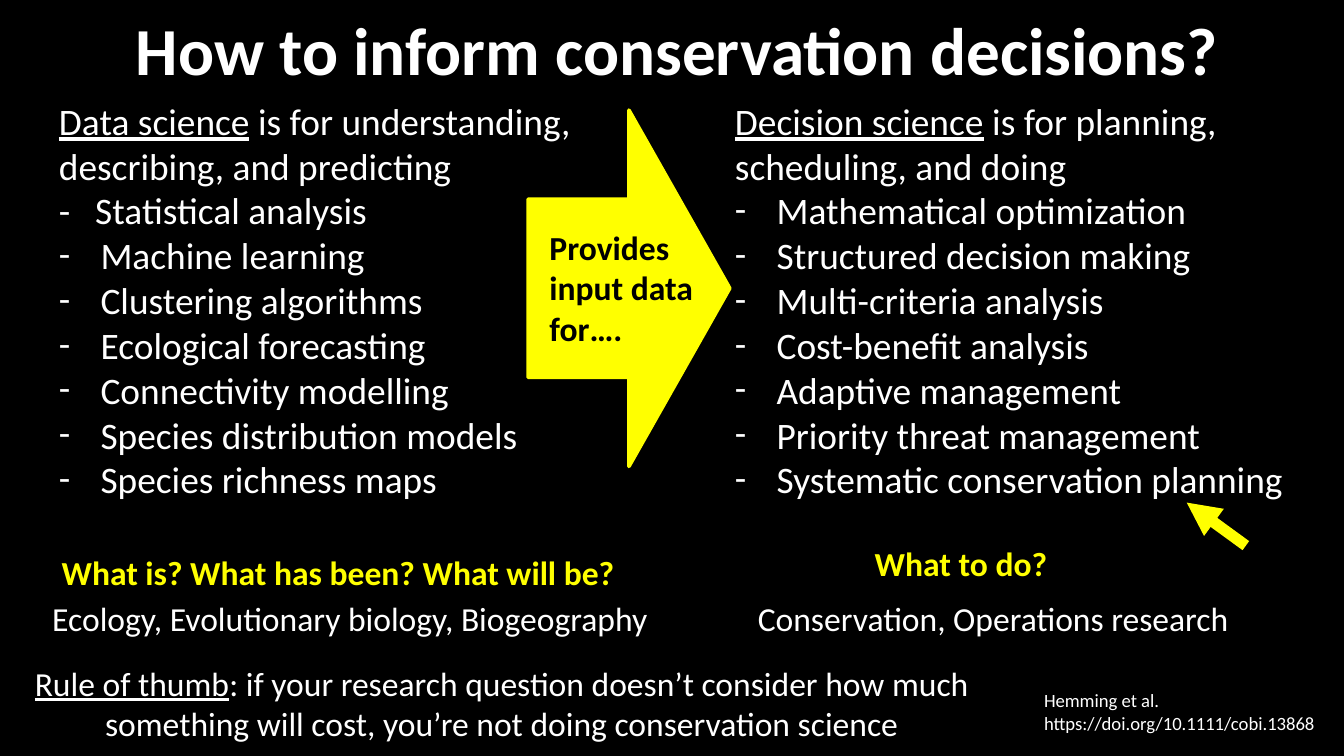
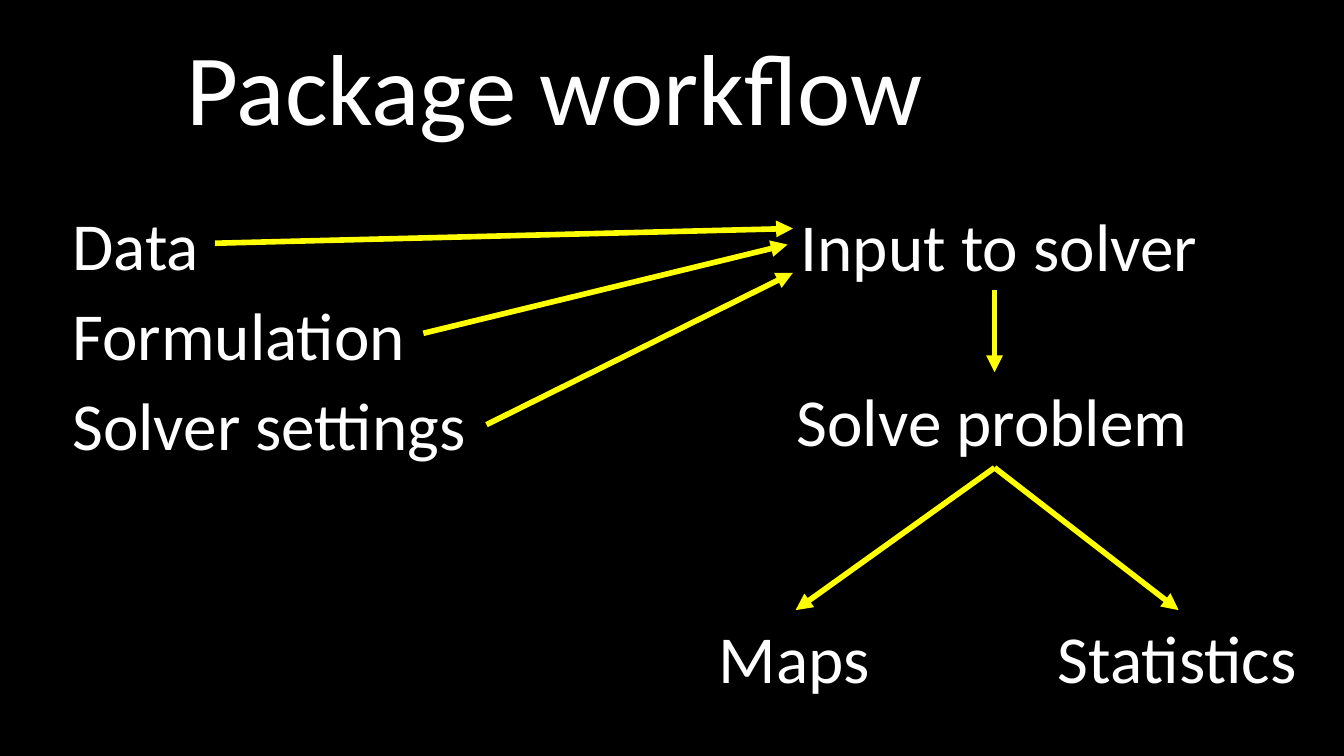
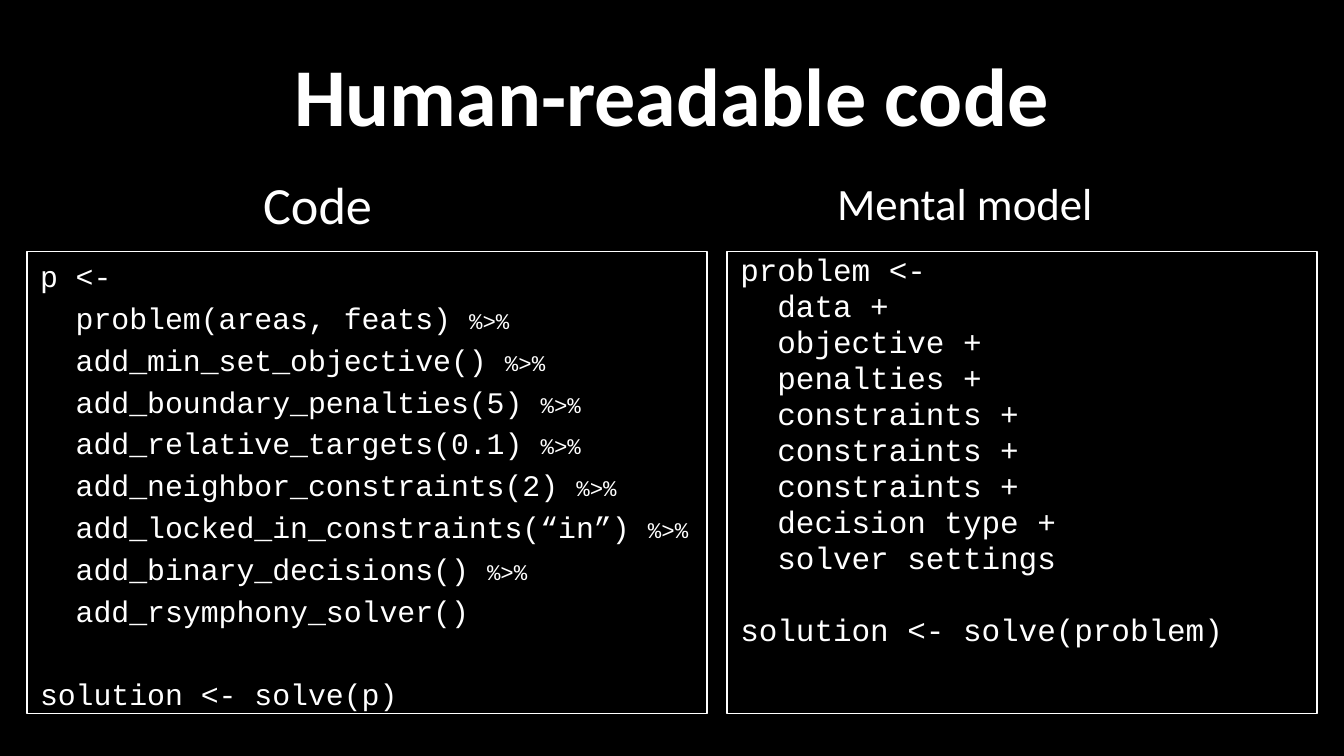
"""Build three slides on conservation decisions, package workflow and readable code."""

from dataclasses import dataclass

from lxml.etree import SubElement
from pptx import Presentation
from pptx.dml.color import RGBColor
from pptx.enum.shapes import MSO_CONNECTOR as Connector, MSO_SHAPE as Preset
from pptx.enum.text import MSO_ANCHOR as Anchor, MSO_AUTO_SIZE as AutoSize, PP_ALIGN as Align
from pptx.oxml.ns import qn
from pptx.util import Inches, Pt

BLACK = RGBColor(0x00, 0x00, 0x00)
WHITE = RGBColor(0xFF, 0xFF, 0xFF)
YELLOW = RGBColor(0xFF, 0xFF, 0x00)
BODY_FONT = "Calibri"
CODE_FONT = "Courier New"
PIPE = "%>%"
TITLE_ONLY = 5


@dataclass(frozen=True)
class Place:
    left: float
    top: float
    width: float
    height: float

    def lengths(self) -> tuple:
        return tuple(Inches(v) for v in (self.left, self.top, self.width, self.height))


@dataclass(frozen=True)
class Style:
    size: float
    color: RGBColor = WHITE
    bold: bool = False
    font: str = BODY_FONT


@dataclass(frozen=True)
class Label:
    place: Place
    lines: tuple
    style: Style
    lead: str = ""
    align: Align = Align.LEFT
    wrap: bool = True


@dataclass(frozen=True)
class Arrow:
    start: tuple
    end: tuple
    weight: float = 3


@dataclass(frozen=True)
class Listing:
    place: Place
    lines: tuple
    closing: str
    style: Style
    pitch: float
    spacing: float


BODY = Style(20)
NOTE = Style(18)
QUESTION = Style(18, YELLOW, True)
STEP = Style(36)
GAP_SHARE = 0.2

TYPED_DASH = "-\t"
DATA_METHODS = (TYPED_DASH + "Statistical analysis", "Machine learning",
                "Clustering algorithms", "Ecological forecasting",
                "Connectivity modelling", "Species distribution models",
                "Species richness maps")
DECISION_METHODS = ("Mathematical optimization", "Structured decision making",
                    "Multi-criteria analysis", "Cost-benefit analysis",
                    "Adaptive management", "Priority threat management",
                    "Systematic conservation planning")

DECISION_LABELS = (
    Label(Place(5.54, 4.4, 3.97, 0.4), ("Conservation, Operations research",), NOTE),
    Label(Place(0.16, 4.88, 7.15, 0.71),
          (": if your research question doesn’t consider how much something will cost, "
           "you’re not doing conservation science",), NOTE, "Rule of thumb", Align.CENTER),
    Label(Place(6.41, 3.99, 1.59, 0.4), ("What to do?",), QUESTION),
    Label(Place(7.67, 5.08, 2.33, 0.44),
          ("Hemming et al.", "https://doi.org/10.1111/cobi.13868"), Style(10)),
    Label(Place(0.29, 4.4, 4.65, 0.4), ("Ecology, Evolutionary biology, Biogeography",), NOTE),
    Label(Place(0.36, 4.06, 4.51, 0.4), ("What is? What has been? What will be?",), QUESTION),
)

INPUTS = (("Data", 1.15), ("Formulation", 2.7), ("Solver settings", 3.17))
STAGES = (("Input to solver", Place(5.86, 1.47, 3.18, 0.71)),
          ("Solve problem", Place(5.83, 2.77, 3.14, 0.71)),
          ("Maps", Place(5.25, 4.54, 1.34, 0.71)),
          ("Statistics", Place(7.77, 4.54, 2.01, 0.71)))
SOLVE_TOP = (7.4, 2.77)
SOLVE_BOTTOM = (7.4, 3.48)
FLOW = (
    Arrow((1.6, 1.81), (5.9, 1.7)),
    Arrow((3.15, 2.48), (5.86, 1.82)),
    Arrow((3.62, 3.16), (5.9, 2.03)),
    Arrow((7.4, 2.16), SOLVE_TOP),
    Arrow(SOLVE_BOTTOM, (5.92, 4.54)),
    Arrow(SOLVE_BOTTOM, (8.77, 4.54)),
)

LISTINGS = (
    Listing(Place(0.2, 1.87, 5.06, 3.44),
            ("p <-",
             "  problem(areas, feats) %>%",
             "  add_min_set_objective() %>%",
             "  add_boundary_penalties(5) %>%",
             "  add_relative_targets(0.1) %>%",
             "  add_neighbor_constraints(2) %>%",
             "  add_locked_in_constraints(“in”) %>%",
             "  add_binary_decisions() %>%",
             "  add_rsymphony_solver()"),
            "solution <- solve(p)", Style(16, font=CODE_FONT), 22.3, 1.0),
    Listing(Place(5.41, 1.87, 4.39, 3.44),
            ("problem <-",
             "  data +",
             "  objective +",
             "  penalties +",
             "  constraints +",
             "  constraints +",
             "  constraints +",
             "  decision type +",
             "  solver settings"),
            "solution <- solve(problem)", Style(16.6, font=CODE_FONT), 19.3, 0.8),
)


def add_span(para, text: str, style: Style, underline: bool = False, size: float = 0) -> None:
    span = para.add_run()
    span.text = text
    span.font.name = style.font
    span.font.size = Pt(size or style.size)
    span.font.bold = style.bold
    span.font.underline = underline
    span.font.color.rgb = style.color


def next_paragraph(frame, index: int):
    return frame.add_paragraph() if index else frame.paragraphs[0]


def hang(para, indent: float, dash: bool) -> None:
    properties = para._p.get_or_add_pPr()
    properties.set("marL", str(Inches(indent)))
    properties.set("indent", str(-Inches(indent)))
    if dash:
        SubElement(properties, qn("a:buFont")).set("typeface", BODY_FONT)
        SubElement(properties, qn("a:buChar")).set("char", "-")


def add_title(deck, text: str, place: Place, style: Style):
    page = deck.slides.add_slide(deck.slide_layouts[TITLE_ONLY])
    title = page.shapes.title
    title.left, title.top, title.width, title.height = place.lengths()
    frame = title.text_frame
    frame.auto_size = AutoSize.NONE
    frame.vertical_anchor = Anchor.MIDDLE
    frame.paragraphs[0].alignment = Align.CENTER
    add_span(frame.paragraphs[0], text, style)
    return page


def add_label(page, label: Label):
    box = page.shapes.add_textbox(*label.place.lengths())
    frame = box.text_frame
    frame.word_wrap = label.wrap
    frame.auto_size = AutoSize.SHAPE_TO_FIT_TEXT
    for index, line in enumerate(label.lines):
        para = next_paragraph(frame, index)
        para.alignment = label.align
        if label.lead and index == 0:
            add_span(para, label.lead, label.style, underline=True)
        add_span(para, line, label.style)
    return box


def add_methods(page, place: Place, lead: str, purpose: str, methods: tuple) -> None:
    box = add_label(page, Label(place, (purpose,), BODY, lead))
    for method in methods:
        para = box.text_frame.add_paragraph()
        typed = method.startswith(TYPED_DASH)
        hang(para, 0.27 if typed else 0.31, dash=not typed)
        add_span(para, method, BODY)


def add_arrow(page, arrow: Arrow) -> None:
    ends = (Inches(v) for v in (*arrow.start, *arrow.end))
    line = page.shapes.add_connector(Connector.STRAIGHT, *ends)
    line.line.color.rgb = YELLOW
    line.line.width = Pt(arrow.weight)
    SubElement(line.line._get_or_add_ln(), qn("a:tailEnd")).set("type", "triangle")
    SubElement(line._element.spPr, qn("a:effectLst"))


def add_listing(page, listing: Listing) -> None:
    box = page.shapes.add_shape(Preset.RECTANGLE, *listing.place.lengths())
    box.shadow.inherit = False
    box.fill.background()
    box.line.color.rgb = WHITE
    box.line.width = Pt(0.75)
    frame = box.text_frame
    frame.word_wrap = True
    frame.vertical_anchor = Anchor.TOP
    gap = GAP_SHARE * listing.style.size
    for index, line in enumerate((*listing.lines, listing.closing)):
        para = next_paragraph(frame, index)
        para.alignment = Align.LEFT
        para.line_spacing = listing.spacing
        if index:
            para.space_before = Pt(gap)
        code, pipe, _ = line.partition(PIPE)
        add_span(para, code, listing.style)
        if pipe:
            add_span(para, pipe, listing.style, size=12)
    para.space_before = Pt(gap + listing.pitch)


def build_decisions(deck) -> None:
    page = add_title(deck, "How to inform conservation decisions?",
                     Place(0.54, 0.01, 9, 0.71), Style(36, bold=True))
    add_methods(page, Place(0.34, 0.68, 4.03, 3.13), "Data science",
                " is for understanding, describing, and predicting", DATA_METHODS)
    add_methods(page, Place(5.37, 0.68, 4.29, 3.47), "Decision science",
                " is for planning, scheduling, and doing", DECISION_METHODS)
    for label in DECISION_LABELS:
        add_label(page, label)
    block = page.shapes.add_shape(Preset.RIGHT_ARROW, *Place(3.93, 0.82, 1.5, 2.65).lengths())
    block.shadow.inherit = False
    block.fill.solid()
    block.fill.fore_color.rgb = YELLOW
    block.line.color.rgb = YELLOW
    block.line.width = Pt(2)
    add_label(page, Label(Place(3.99, 1.64, 1.37, 1.01),
                          ("Provides", "input data", "for…."), Style(18, BLACK, True)))
    add_arrow(page, Arrow((9.27, 4.06), (8.83, 3.74), 6))


def build_workflow(deck) -> None:
    page = add_title(deck, "Package workflow", Place(1.26, 0.13, 5.74, 1.01), Style(54))
    for row, (text, width) in enumerate(INPUTS):
        place = Place(0.44, 1.46 + 0.67 * row, width, 0.71)
        add_label(page, Label(place, (text,), STEP, wrap=False))
    for text, place in STAGES:
        add_label(page, Label(place, (text,), STEP, wrap=False))
    for arrow in FLOW:
        add_arrow(page, arrow)


def build_code(deck) -> None:
    page = add_title(deck, "Human-readable code", Place(0.5, 0.23, 9, 0.94),
                     Style(44, bold=True))
    add_label(page, Label(Place(1.86, 1.23, 1.02, 0.57), ("Code",), Style(28), wrap=False))
    add_label(page, Label(Place(6.13, 1.26, 2.2, 0.5), ("Mental model",), Style(24), wrap=False))
    for listing in LISTINGS:
        add_listing(page, listing)


def main() -> None:
    deck = Presentation()
    deck.slide_width = Inches(10)
    deck.slide_height = deck.slide_width * 9 // 16
    backdrop = deck.slide_master.background.fill
    backdrop.solid()
    backdrop.fore_color.rgb = BLACK
    build_decisions(deck)
    build_workflow(deck)
    build_code(deck)
    deck.save("out.pptx")


if __name__ == "__main__":
    main()
